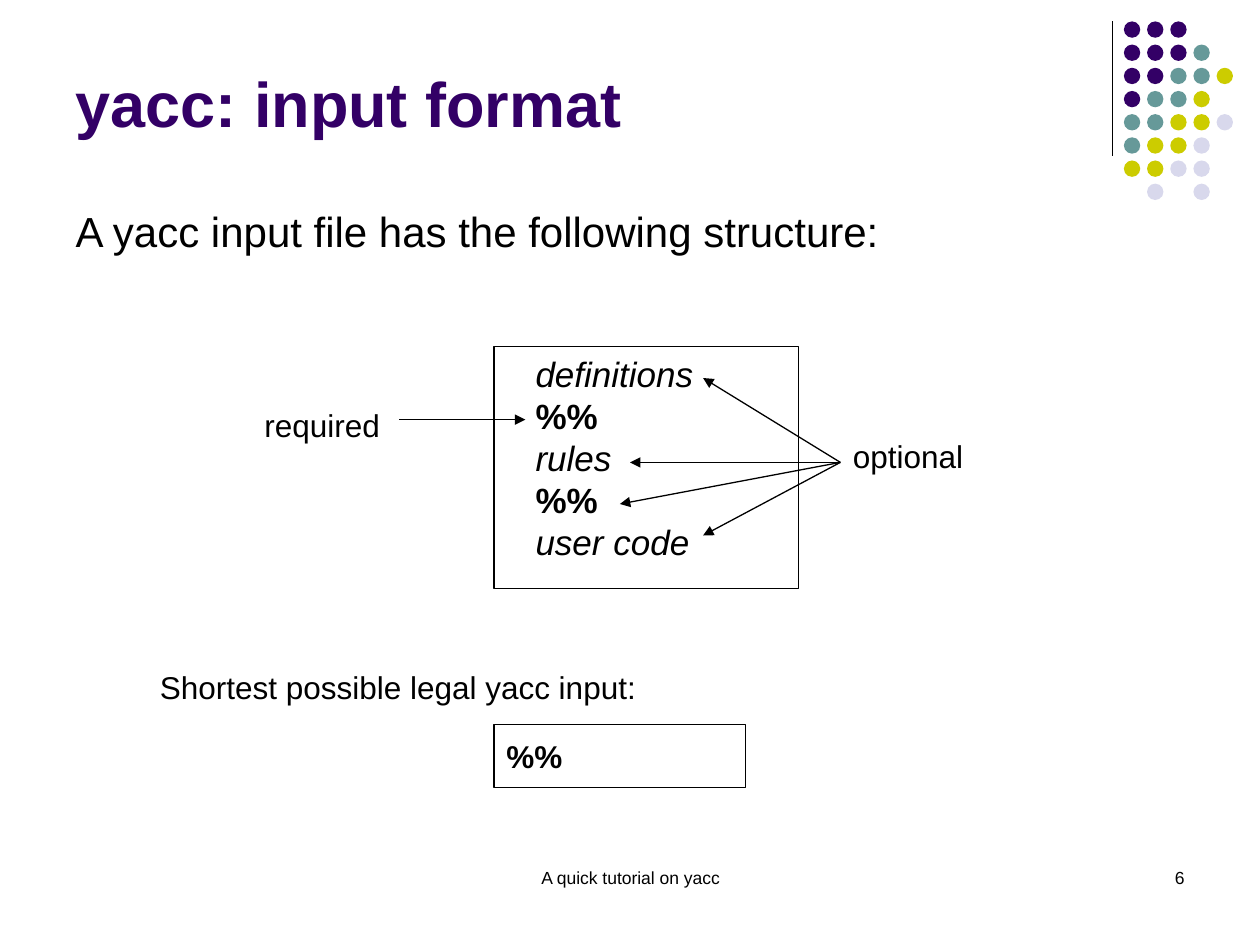
from lxml import etree
from pptx import Presentation
from pptx import util as u
from pptx.dml.color import RGBColor
from pptx.enum import shapes, text
from pptx.oxml.ns import qn

Inches, Pt = u.Inches, u.Pt
BLACK = RGBColor(0x00, 0x00, 0x00)
PURPLE = RGBColor(0x33, 0x00, 0x66)
TEAL = RGBColor(0x66, 0x99, 0x99)
OLIVE = RGBColor(0xCC, 0xCC, 0x00)
LAVENDER = RGBColor(0xD8, 0xD8, 0xEC)
LEFT, CENTER, RIGHT = text.PP_ALIGN.LEFT, text.PP_ALIGN.CENTER, text.PP_ALIGN.RIGHT


def write(shape, content, size, color=BLACK, bold=False, align=LEFT,
          anchor=text.MSO_ANCHOR.TOP, wrap=True):
    frame = shape.text_frame
    frame.text = content
    frame.auto_size = text.MSO_AUTO_SIZE.NONE
    frame.word_wrap = wrap
    frame.vertical_anchor = anchor
    for paragraph in frame.paragraphs:
        paragraph.alignment = align
        font = paragraph.runs[0].font
        font.name, font.size, font.bold = "Arial", Pt(size), bold
        font.color.rgb = color


def add_line(start, end, arrow=True):
    points = [Inches(value) for value in (*start, *end)]
    line = slide.shapes.add_connector(shapes.MSO_CONNECTOR.STRAIGHT, *points)
    line.line.color.rgb = BLACK
    line.line.width = Pt(0.75)
    if arrow:
        etree.SubElement(line.line._get_or_add_ln(), qn("a:tailEnd"), type="triangle")
    etree.SubElement(line._element.spPr, qn("a:effectLst"))


presentation = Presentation()
presentation.slide_width, presentation.slide_height = Inches(10), Inches(7.5)
slide = presentation.slides.add_slide(presentation.slide_layouts[1])

# Corner decoration: one letter per dot colour
add_line((8.83, 0.17), (8.83, 1.24), arrow=False)
dot_colors = {"P": PURPLE, "T": TEAL, "O": OLIVE, "L": LAVENDER}
dot_rows = ["PPP", "PPPT", "PPTTO", "PTTO", "TTOOL", "TOOL", "OOLL", " L L"]
for row, letters in enumerate(dot_rows):
    for column, letter in enumerate(letters):
        if letter == " ":
            continue
        dot = slide.shapes.add_shape(
            shapes.MSO_SHAPE.OVAL, Inches(8.92 + column * 0.184),
            Inches(0.17 + row * 0.184), Inches(0.13), Inches(0.13))
        dot.shadow.inherit = False
        dot.fill.solid()
        dot.fill.fore_color.rgb = dot_colors[letter]
        dot.line.fill.background()

# Title and lead sentence
title, body = slide.shapes.title, slide.placeholders[1]
title.left, title.top, title.width, title.height = (
    Inches(0.5), Inches(0.13), Inches(8.25), Inches(1.03))
write(title, "yacc: input format", 36, PURPLE, bold=True, anchor=text.MSO_ANCHOR.BOTTOM)
body.left, body.top, body.width, body.height = (
    Inches(0.5), Inches(1.58), Inches(9), Inches(0.58))
write(body, "A yacc input file has the following structure:", 24)
lead = body.text_frame.paragraphs[0]
lead.space_before = Pt(6)
properties = lead._p.get_or_add_pPr()
properties.set("marL", "0")
properties.set("indent", "0")
etree.SubElement(properties, qn("a:buNone"))

# Code boxes
boxes = []
for top, width, height in [(2.75, 2.42, 1.92), (5.75, 2, 0.5)]:
    box = slide.shapes.add_shape(shapes.MSO_SHAPE.RECTANGLE, Inches(3.92),
                                 Inches(top), Inches(width), Inches(height))
    box.shadow.inherit = False
    box.fill.background()
    box.line.color.rgb = BLACK
    box.line.width = Pt(0.75)
    boxes.append(box)
structure, shortest = boxes
write(structure, "definitions\n%%\nrules\n%%\nuser code", 20)
structure.text_frame.margin_left = Inches(0.33)
for paragraph in structure.text_frame.paragraphs:
    font = paragraph.runs[0].font
    font.bold = paragraph.text == "%%"
    font.italic = not font.bold
write(shortest, "%%", 18, bold=True, anchor=text.MSO_ANCHOR.MIDDLE)

# Labels and footer
labels = [
    ("optional", 6.67, 3.42, 1.07, 0.4, 18, LEFT, False),
    ("required", 2, 3.17, 1.11, 0.4, 18, LEFT, False),
    ("Shortest possible legal yacc input:", 1.17, 5.25, 3.98, 0.4, 18, LEFT, False),
    ("A quick tutorial on yacc", 3.42, 6.83, 3.17, 0.5, 10, CENTER, True),
    ("6", 7.17, 6.83, 2.33, 0.5, 10, RIGHT, True),
]
for content, left, top, width, height, size, align, wrap in labels:
    label = slide.shapes.add_textbox(Inches(left), Inches(top), Inches(width), Inches(height))
    write(label, content, size, align=align, wrap=wrap)

# Arrows from the labels to the parts of the structure
add_line((3.17, 3.33), (4.17, 3.33))
for target in [(5.58, 3), (5, 3.67), (4.92, 4), (5.58, 4.25)]:
    add_line((6.67, 3.67), target)

presentation.save("out.pptx")
